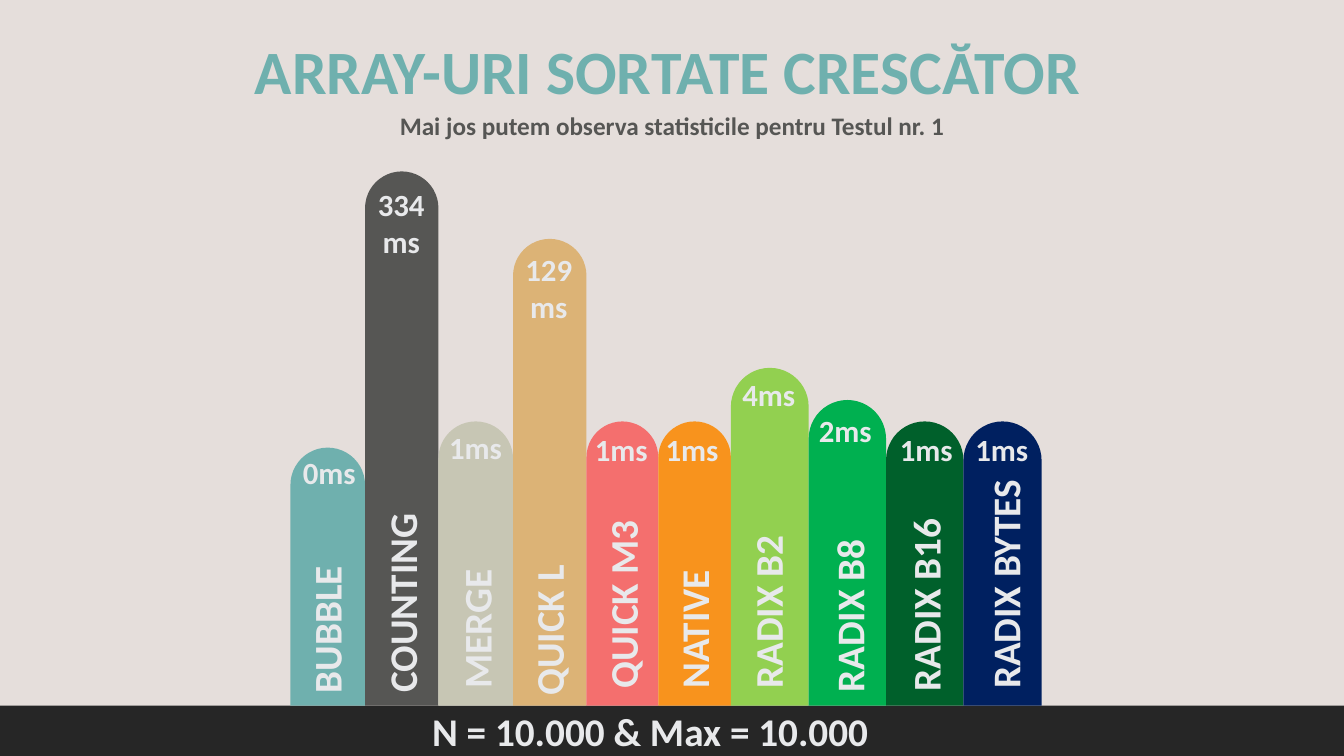
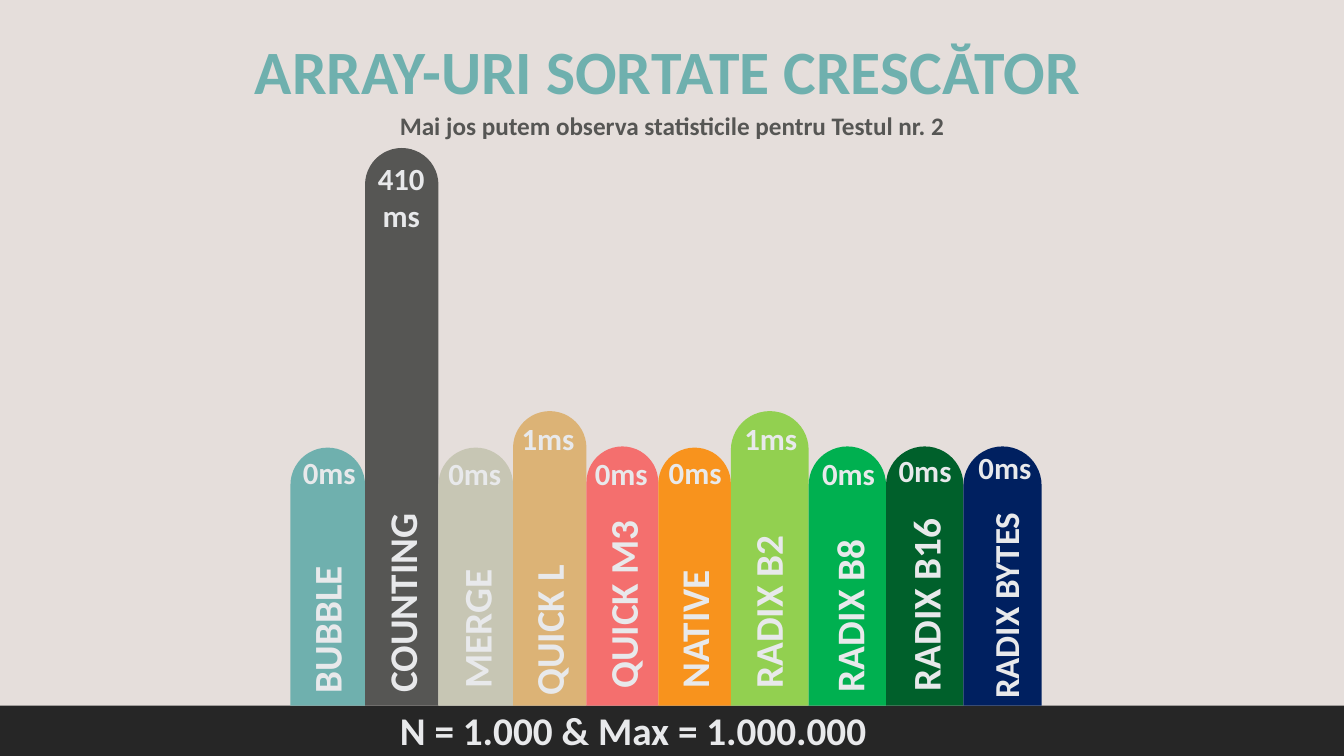
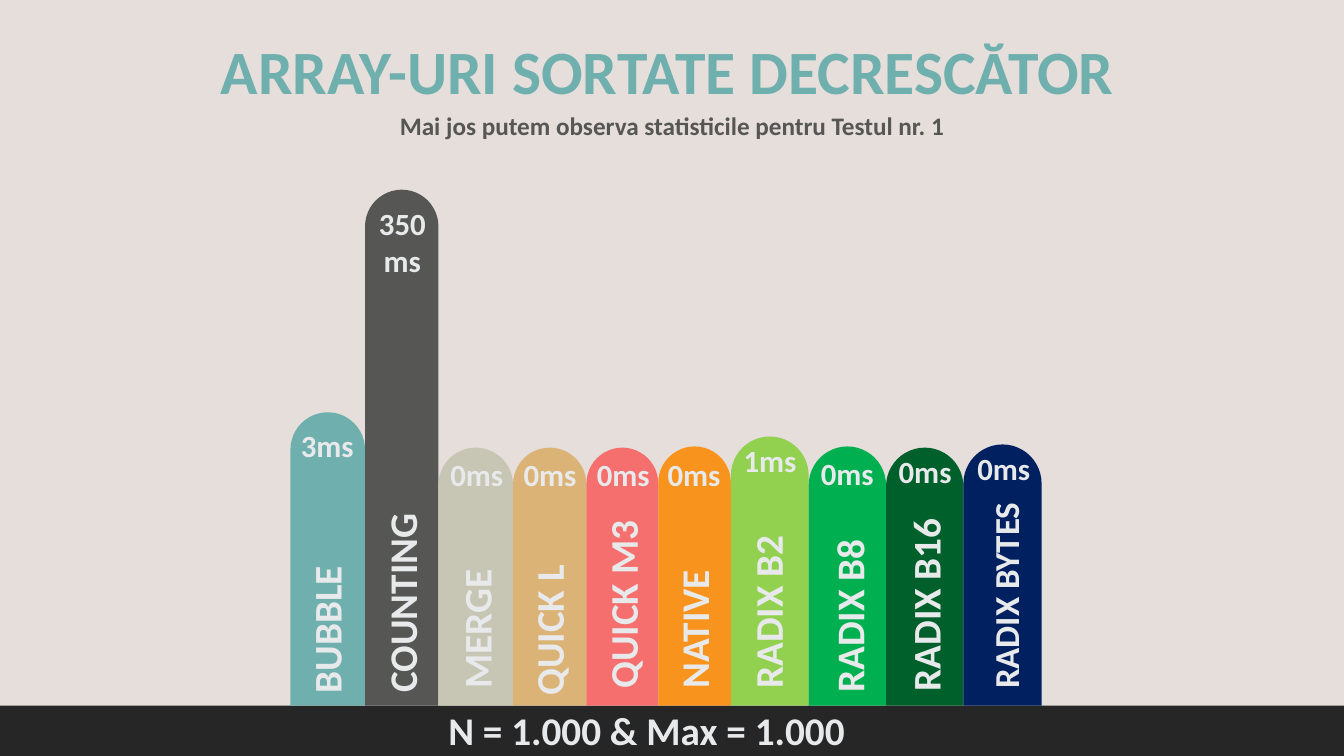
"""Build three slides of sorting times as rounded columns over a dark band."""
from dataclasses import dataclass
from itertools import pairwise

from pptx import Presentation
from pptx.dml import color
from pptx.enum import shapes, text
from pptx.util import Cm, Pt

FONT = "Calibri"
BACKGROUND, BAND, TEAL, GREY, PALE = "E5DEDB", "262626", "6FB0AE", "565654", "E8E9EB"
WIDTH, HEIGHT, BASELINE = 33.87, 19.05, 17.78
EDGES = (7.32, 9.2, 11.05, 12.93, 14.78, 16.59, 18.42, 20.38, 22.33, 24.28, 26.25)
CENTER, LEFT = text.PP_ALIGN.CENTER, text.PP_ALIGN.LEFT


@dataclass(frozen=True)
class Algorithm:
    """A column's name and colour, its label's axis, foot and length, and its value's width."""
    name: str
    fill: str
    axis: float
    foot: float
    length: float
    value_width: float


@dataclass(frozen=True)
class Reading:
    """A measured time, the top of its column and the corner of its value."""
    value: str
    top: float
    value_left: float
    value_top: float


@dataclass(frozen=True)
class Test:
    """The wording, readings and footer place of one slide."""
    title: str
    subtitle: str
    footer: str
    footer_at: tuple[float, float, float, float]
    last_size: float
    last_foot: float
    readings: tuple[Reading, ...]


ALGORITHMS = (
    Algorithm("BUBBLE", TEAL, 8.2, 17.72, 3.81, 2.08),
    Algorithm("COUNTING", GREY, 10.1, 17.7, 5.26, 2.44),
    Algorithm("MERGE", "C7C6B4", 11.98, 17.6, 3.94, 2.03),
    Algorithm("QUICK L", "DCB376", 13.8, 17.78, 4.34, 2.16),
    Algorithm("QUICK M3", "F46F6E", 15.66, 17.6, 6.99, 1.9),
    Algorithm("NATIVE", "F8931D", 17.46, 17.6, 4.04, 1.96),
    Algorithm("RADIX B2", "92D050", 19.32, 17.6, 4.7, 2.13),
    Algorithm("RADIX B8", "00B050", 21.37, 17.7, 4.7, 2.13),
    Algorithm("RADIX B16", "00602B", 23.29, 17.67, 6.1, 2.13),
    Algorithm("RADIX BYTES", "002060", 25.3, 17.61, 6.3, 2.13),
)

ASCENDING, DESCENDING = "ARRAY-URI SORTATE CRESCĂTOR", "ARRAY-URI SORTATE DECRESCĂTOR"
SUBTITLE = "Mai jos putem observa statisticile pentru Testul nr. "

TESTS = (
    Test(ASCENDING, SUBTITLE + "1", "N = 10.000 & Max = 10.000",
         (10.64, 17.7, 12.45, 1.45), 28, 17.61, (
             Reading("0ms", 11.28, 7.26, 11.3),
             Reading("334\nms", 4.32, 8.89, 4.55),
             Reading("1ms", 10.62, 10.97, 10.67),
             Reading("129ms", 6.02, 12.75, 6.2),
             Reading("1ms", 10.62, 14.71, 10.72),
             Reading("1ms", 10.62, 16.46, 10.72),
             Reading("4ms", 9.27, 18.31, 9.35),
             Reading("2ms", 10.08, 20.24, 10.24),
             Reading("1ms", 10.62, 22.28, 10.74),
             Reading("1ms", 10.62, 24.18, 10.72))),
    Test(ASCENDING, SUBTITLE + "2", "N = 1.000 & Max = 1.000.000",
         (9.83, 17.68, 15.7, 1.45), 25, 17.86, (
             Reading("0ms", 11.28, 7.26, 11.3),
             Reading("410\nms", 3.73, 8.89, 3.91),
             Reading("0ms", 11.28, 10.95, 11.33),
             Reading("1ms", 10.36, 12.73, 10.44),
             Reading("0ms", 11.25, 14.71, 11.33),
             Reading("0ms", 11.28, 16.54, 11.3),
             Reading("1ms", 10.36, 18.36, 10.44),
             Reading("0ms", 11.25, 20.32, 11.33),
             Reading("0ms", 11.25, 22.25, 11.25),
             Reading("0ms", 11.25, 24.26, 11.18))),
    Test(DESCENDING, SUBTITLE + "1", "N = 1.000 & Max = 1.000",
         (11.05, 17.68, 15.7, 1.45), 25, 17.61, (
             Reading("3ms", 10.39, 7.21, 10.62),
             Reading("350\nms", 4.78, 8.92, 5.03),
             Reading("0ms", 11.28, 11.0, 11.35),
             Reading("0ms", 11.28, 12.78, 11.35),
             Reading("0ms", 11.28, 14.76, 11.35),
             Reading("0ms", 11.25, 16.51, 11.35),
             Reading("1ms", 11.0, 18.34, 11.0),
             Reading("0ms", 11.25, 20.29, 11.33),
             Reading("0ms", 11.28, 22.25, 11.28),
             Reading("0ms", 11.2, 24.23, 11.2))),
)


def paint(fill, value: str) -> None:
    """Fill with one solid colour."""
    fill.solid()
    fill.fore_color.rgb = color.RGBColor.from_string(value)


def write(sp, words: str, size: float, tint: str = PALE, align=CENTER) -> None:
    """Write bold lines, one paragraph each, into a shape."""
    tf = sp.text_frame
    tf.word_wrap = True
    tf.auto_size = text.MSO_AUTO_SIZE.SHAPE_TO_FIT_TEXT
    tf.vertical_anchor = text.MSO_ANCHOR.TOP
    for i, line in enumerate(words.split("\n")):
        p = tf.add_paragraph() if i else tf.paragraphs[0]
        p.alignment = align
        p.space_before = Pt(0)
        r = p.add_run()
        r.text = line
        r.font.name, r.font.size, r.font.bold = FONT, Pt(size), True
        paint(r.font.fill, tint)


def place(sp, left: float, top: float, width: float, height: float) -> None:
    """Move and size a placeholder."""
    sp.left, sp.top, sp.width, sp.height = map(Cm, (left, top, width, height))


def add_block(s, kind, left: float, top: float, width: float, height: float, fill: str):
    """Add a plain filled shape without outline or shadow."""
    sp = s.shapes.add_shape(kind, *map(Cm, (left, top, width, height)))
    sp.shadow.inherit = False
    sp.line.fill.background()
    paint(sp.fill, fill)
    return sp


def add_text(s, left: float, top: float, width: float, height: float,
             words: str, size: float, align=CENTER):
    """Add a text box."""
    sp = s.shapes.add_textbox(*map(Cm, (left, top, width, height)))
    write(sp, words, size, align=align)
    return sp


def add_label(s, algorithm: Algorithm, size: float, foot: float) -> None:
    """Add a name that reads upwards from its foot."""
    height = size * 0.05
    sp = add_text(s, algorithm.axis - algorithm.length / 2,
                  foot - algorithm.length / 2 - height / 2,
                  algorithm.length, height, algorithm.name, size, LEFT)
    sp.rotation = 270


def add_test(prs, test: Test) -> None:
    """Add the slide of one test."""
    s = prs.slides.add_slide(prs.slide_layouts[0])
    title, subtitle = s.placeholders
    place(title, 3.94, 0.71, 25.78, 2.13)
    write(title, test.title, 44, TEAL)
    place(subtitle, 7.87, 2.64, 18.14, 1.02)
    write(subtitle, test.subtitle, 18, GREY)
    add_block(s, shapes.MSO_SHAPE.RECTANGLE, 0, BASELINE, WIDTH, HEIGHT - BASELINE, BAND)
    for algorithm, reading, (left, right) in zip(ALGORITHMS, test.readings, pairwise(EDGES)):
        sp = add_block(s, shapes.MSO_SHAPE.ROUND_2_SAME_RECTANGLE, left, reading.top,
                       right - left, BASELINE - reading.top, algorithm.fill)
        sp.adjustments[0], sp.adjustments[1] = 0.5, 0
    for algorithm, reading in zip(ALGORITHMS, test.readings):
        last = algorithm is ALGORITHMS[-1]
        add_label(s, algorithm, test.last_size if last else 28,
                  test.last_foot if last else algorithm.foot)
        add_text(s, reading.value_left, reading.value_top, algorithm.value_width,
                 2.13 if len(reading.value) > 3 else 1.19, reading.value, 22)
    add_text(s, *test.footer_at, test.footer, 28, LEFT)


def main() -> None:
    """Build and save the presentation."""
    prs = Presentation()
    prs.slide_width, prs.slide_height = Cm(WIDTH), Cm(HEIGHT)
    paint(prs.slide_master.background.fill, BACKGROUND)
    for test in TESTS:
        add_test(prs, test)
    prs.save("out.pptx")


if __name__ == "__main__":
    main()
